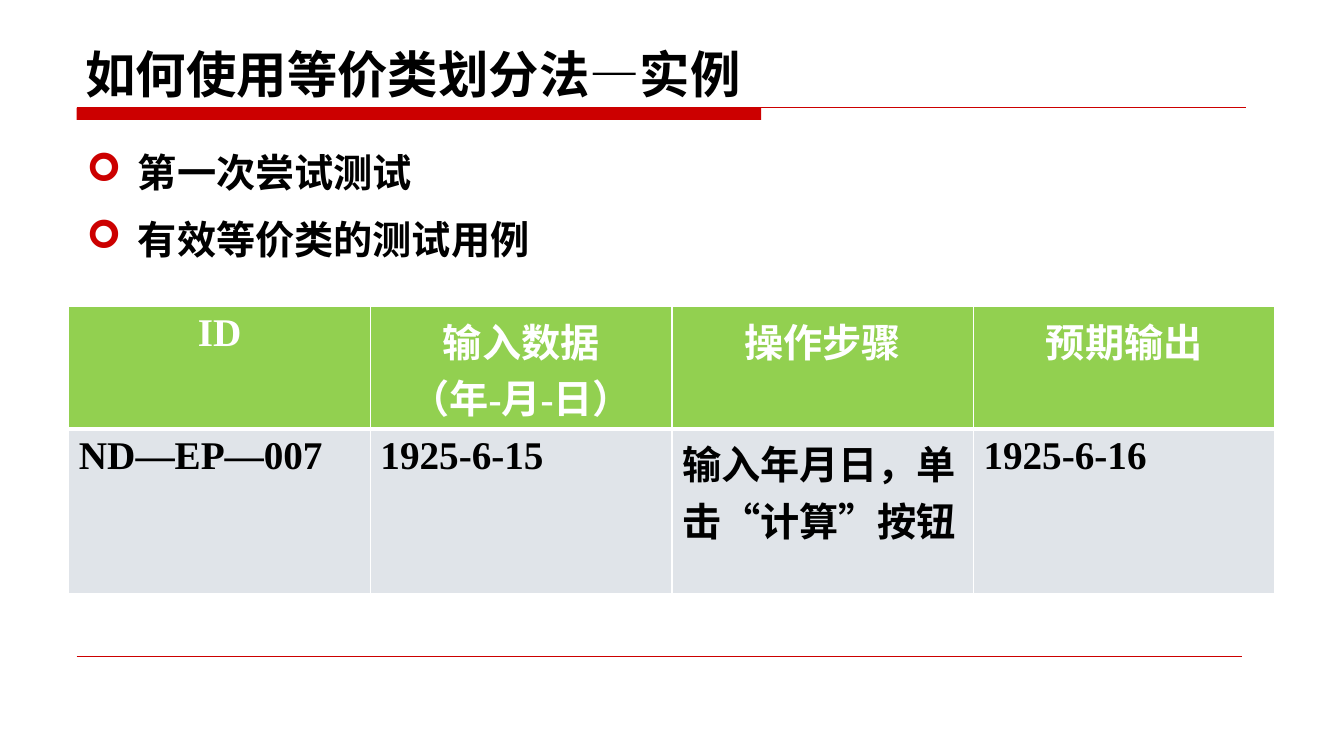
"""Build the slide on equivalence class partitioning with its test case table."""
from dataclasses import dataclass

from lxml.etree import SubElement
from pptx import Presentation
from pptx.dml.color import RGBColor
from pptx.enum.shapes import MSO_CONNECTOR, MSO_SHAPE
from pptx.enum.text import MSO_ANCHOR, PP_ALIGN
from pptx.oxml.ns import qn
from pptx.util import Pt


@dataclass(frozen=True)
class Theme:
    red: RGBColor = RGBColor(0xCC, 0x00, 0x00)
    black: RGBColor = RGBColor(0x00, 0x00, 0x00)
    white: RGBColor = RGBColor(0xFF, 0xFF, 0xFF)
    green: RGBColor = RGBColor(0x92, 0xD0, 0x50)
    grey: RGBColor = RGBColor(0xE0, 0xE4, 0xE9)
    latin_font: str = "Times New Roman"
    chinese_font: str = "Noto Sans CJK SC"
    title_size: int = 36
    body_size: int = 28


theme = Theme()


def add_text(paragraph, text, size, color):
    run = paragraph.add_run()
    run.text = text
    run.font.size = Pt(size)
    run.font.bold = True
    run.font.color.rgb = color
    run.font.name = theme.latin_font
    SubElement(run.font._element, qn("a:ea"), typeface=theme.chinese_font)


def add_text_box(left, top, width, height, anchor):
    frame = slide.shapes.add_textbox(Pt(left), Pt(top), Pt(width), Pt(height)).text_frame
    frame.word_wrap = True
    frame.vertical_anchor = anchor
    return frame


presentation = Presentation()
presentation.slide_width = Pt(960)
presentation.slide_height = Pt(540)
slide = presentation.slides.add_slide(presentation.slide_layouts[6])

margin = 54.72
rule_top = 77.04
title_bar = slide.shapes.add_shape(
    MSO_SHAPE.RECTANGLE, Pt(margin), Pt(rule_top), Pt(489), Pt(8.64))
title_bar.shadow.inherit = False
title_bar.fill.solid()
title_bar.fill.fore_color.rgb = theme.red
title_bar.line.fill.background()

for right, top, weight in [(890, rule_top, 0.75), (887, 468.7, 0.25)]:
    rule = slide.shapes.add_connector(
        MSO_CONNECTOR.STRAIGHT, Pt(margin), Pt(top), Pt(right), Pt(top))
    rule.line.color.rgb = theme.red
    rule.line.width = Pt(weight)
    SubElement(rule._element.spPr, qn("a:effectLst"))

title = add_text_box(54, 20.9, 840, 56.9, MSO_ANCHOR.BOTTOM)
add_text(title.paragraphs[0], "如何使用等价类划分法—实例", theme.title_size, theme.black)

body = add_text_box(margin, 94.3, 840, 120, MSO_ANCHOR.TOP)
for index, text in enumerate(["第一次尝试测试", "有效等价类的测试用例"]):
    paragraph = body.add_paragraph() if index else body.paragraphs[0]
    paragraph.line_spacing = 1.25
    paragraph.space_before = Pt(5.6)
    properties = paragraph._p.get_or_add_pPr()
    properties.set("marL", str(Pt(36.7)))
    properties.set("indent", str(-Pt(36.7)))
    bullet_color = SubElement(properties, qn("a:buClr"))
    SubElement(bullet_color, qn("a:srgbClr"), val=str(theme.red))
    SubElement(properties, qn("a:buFont"), typeface="Wingdings")
    SubElement(properties, qn("a:buChar"), char="➢")
    add_text(paragraph, text, theme.body_size, theme.black)

test_cases = [
    ["ID", "输入数据\n（年-月-日）", "操作步骤", "预期输出"],
    ["ND—EP—007", "1925-6-15", "输入年月日，单击“计算”按钮", "1925-6-16"],
]
row_heights = [87.5, 117.5]
table = slide.shapes.add_table(
    len(test_cases), len(test_cases[0]), Pt(49.2), Pt(219), Pt(861.6), Pt(sum(row_heights))).table
for row_index, row_texts in enumerate(test_cases):
    is_header = row_index == 0
    table.rows[row_index].height = Pt(row_heights[row_index])
    for column_index, cell_text in enumerate(row_texts):
        cell = table.cell(row_index, column_index)
        border_weights = {
            "lnL": 1, "lnR": 1, "lnT": 1 if is_header else 3, "lnB": 3 if is_header else 1}
        for side, weight in border_weights.items():
            border = SubElement(cell._tc.get_or_add_tcPr(), qn(f"a:{side}"), w=str(Pt(weight)))
            border_fill = SubElement(border, qn("a:solidFill"))
            SubElement(border_fill, qn("a:srgbClr"), val=str(theme.white))
        cell.fill.solid()
        cell.fill.fore_color.rgb = theme.green if is_header else theme.grey
        paragraph = cell.text_frame.paragraphs[0]
        paragraph.alignment = PP_ALIGN.CENTER if is_header else PP_ALIGN.LEFT
        for line_index, line in enumerate(cell_text.split("\n")):
            if line_index:
                paragraph.add_line_break()
            add_text(paragraph, line, theme.body_size, theme.white if is_header else theme.black)

presentation.save("out.pptx")
